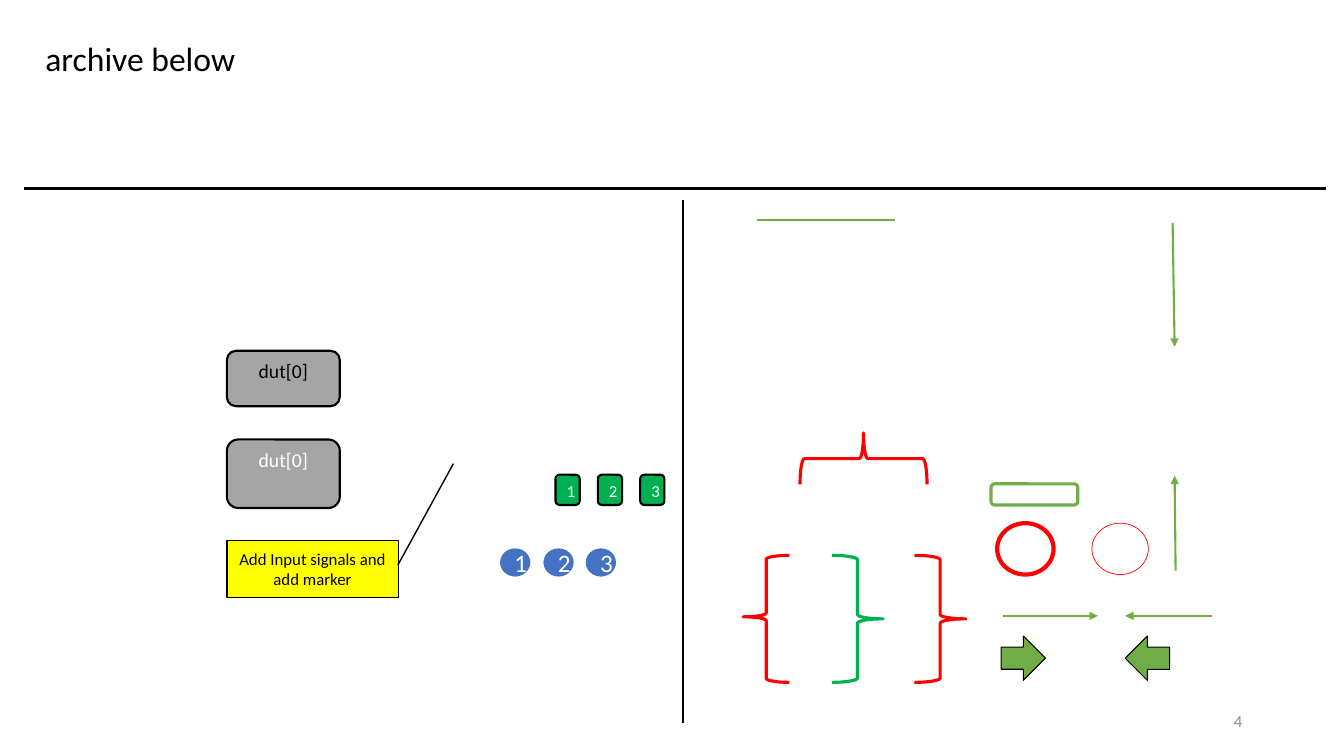
from lxml import etree
from pptx import Presentation
from pptx.dml.color import RGBColor
from pptx.enum import shapes, text
from pptx.oxml import ns
from pptx.util import Inches, Pt

SHAPE = shapes.MSO_SHAPE
TOP, MIDDLE = text.MSO_ANCHOR.TOP, text.MSO_ANCHOR.MIDDLE
LEFT, CENTER, RIGHT = text.PP_ALIGN.LEFT, text.PP_ALIGN.CENTER, text.PP_ALIGN.RIGHT


class Theme:
    font = "Calibri"
    black, white, muted = "000000", "FFFFFF", "8C8C8C"
    gray, yellow, blue = "A5A5A5", "FFFF00", "4472C4"
    red, green, lime = "FF0000", "00B050", "70AD47"
    title, badge, label, small = 24, 18, 14, 12
    hairline, thin, frame, rule, bold, heavy = 0.5, 0.75, 1, 1.5, 2.25, 3


def rgb(value):
    return RGBColor.from_string(value)


def write(sp, words, size, color, align=CENTER, anchor=MIDDLE):
    tf = sp.text_frame
    tf.word_wrap = True
    tf.vertical_anchor = anchor
    p = tf.paragraphs[0]
    p.text = words
    p.alignment = align
    p.font.name = Theme.font
    p.font.size = Pt(size)
    p.font.color.rgb = rgb(color)
    return p


def add_shape(slide, kind, box, fill=None, line=None, width=Theme.rule, rotation=0):
    sp = slide.shapes.add_shape(kind, *map(Inches, box))
    sp.shadow.inherit = False
    sp.rotation = rotation
    if fill:
        sp.fill.solid()
        sp.fill.fore_color.rgb = rgb(fill)
    else:
        sp.fill.background()
    if line:
        sp.line.color.rgb = rgb(line)
        sp.line.width = Pt(width)
    else:
        sp.line.fill.background()
    return sp


def add_line(slide, start, end, color, arrow=False):
    line = slide.shapes.add_connector(
        shapes.MSO_CONNECTOR.STRAIGHT, *map(Inches, (*start, *end)))
    line.line.color.rgb = rgb(color)
    line.line.width = Pt(Theme.rule)
    if arrow:
        etree.SubElement(line.line._get_or_add_ln(), ns.qn("a:tailEnd"), type="triangle")
    etree.SubElement(line._element.spPr, ns.qn("a:effectLst"))


def add_title(slide, words):
    title = slide.shapes.title
    title.left, title.top, title.width, title.height = map(Inches, (0.35, 0.27, 12.06, 0.66))
    write(title, words, Theme.title, Theme.black, LEFT).line_spacing = 0.9


def add_device(slide, top, height, color):
    sp = add_shape(slide, SHAPE.ROUNDED_RECTANGLE, (2.25, top, 1.12, height),
                   Theme.gray, Theme.black)
    write(sp, "dut[0]", Theme.label, color, anchor=TOP)


def add_markers(slide):
    for i, badge_left in enumerate((4.96, 5.39, 5.81)):
        number = str(i + 1)
        tag = add_shape(slide, SHAPE.ROUNDED_RECTANGLE, (5.51 + 0.42 * i, 4.71, 0.24, 0.3),
                        Theme.green, Theme.black)
        write(tag, number, Theme.small, Theme.white, anchor=TOP)
        badge = add_shape(slide, SHAPE.OVAL, (badge_left, 5.44, 0.3, 0.28), Theme.blue)
        write(badge, number, Theme.badge, Theme.white)


def add_callout(slide, words):
    sp = add_shape(slide, SHAPE.LINE_CALLOUT_1, (2.25, 5.36, 1.7, 0.57),
                   Theme.yellow, Theme.black, Theme.frame)
    for i, value in enumerate((0.433, 0.998, -1.333, 1.322)):
        sp.adjustments[i] = value
    write(sp, words, Theme.small, Theme.black)


def add_braces(slide):
    for left, top, color, rotation in ((9.07, 5.51, Theme.red, 0),
                                       (8.25, 5.51, Theme.green, 0),
                                       (8.31, 3.92, Theme.red, 270)):
        add_shape(slide, SHAPE.RIGHT_BRACE, (left, top, 0.51, 1.26), None, color,
                  Theme.bold, rotation)
    sp = add_shape(slide, SHAPE.LEFT_BRACE, (7.37, 5.51, 0.46, 1.26), None, Theme.red, Theme.bold)
    sp.adjustments[1] = 0.484


def add_highlights(slide):
    add_shape(slide, SHAPE.ROUNDED_RECTANGLE, (9.83, 4.8, 0.86, 0.21), None,
              Theme.lime, Theme.bold)
    for left, width in ((9.89, Theme.heavy), (10.83, Theme.hairline)):
        add_shape(slide, SHAPE.OVAL, (left, 5.19, 0.56, 0.51), None, Theme.red, width)


def add_arrows(slide):
    for start, end in (((9.95, 6.11), (10.89, 6.11)), ((12.02, 6.11), (11.16, 6.11)),
                       ((11.66, 5.66), (11.65, 4.72)), ((11.63, 2.21), (11.65, 3.44))):
        add_line(slide, start, end, Theme.lime, arrow=True)
    for left, rotation in ((9.93, 0), (11.16, 180)):
        add_shape(slide, SHAPE.RIGHT_ARROW, (left, 6.31, 0.44, 0.44), Theme.lime,
                  Theme.black, Theme.thin, rotation)


def add_page_number(slide, number):
    box = slide.shapes.add_textbox(*map(Inches, (9.42, 6.95, 3, 0.4)))
    write(box, number, Theme.small, Theme.muted, RIGHT)


def main():
    prs = Presentation()
    prs.slide_width, prs.slide_height = Inches(13.33), Inches(7.5)
    slide = prs.slides.add_slide(prs.slide_layouts[5])

    # Title and dividers
    add_title(slide, "archive below")
    add_line(slide, (13.15, 1.87), (0.24, 1.87), Theme.black)
    add_line(slide, (6.77, 1.98), (6.77, 7.17), Theme.black)

    # Left half: devices, numbered markers and callout
    add_device(slide, 3.48, 0.55, Theme.black)
    add_device(slide, 4.36, 0.68, Theme.white)
    add_markers(slide)
    add_callout(slide, "Add Input signals and add marker")

    # Right half: annotation shapes
    add_line(slide, (7.51, 2.18), (8.88, 2.18), Theme.lime)
    add_braces(slide)
    add_highlights(slide)
    add_arrows(slide)

    # Footer
    add_page_number(slide, "4")
    prs.save("out.pptx")


if __name__ == "__main__":
    main()
